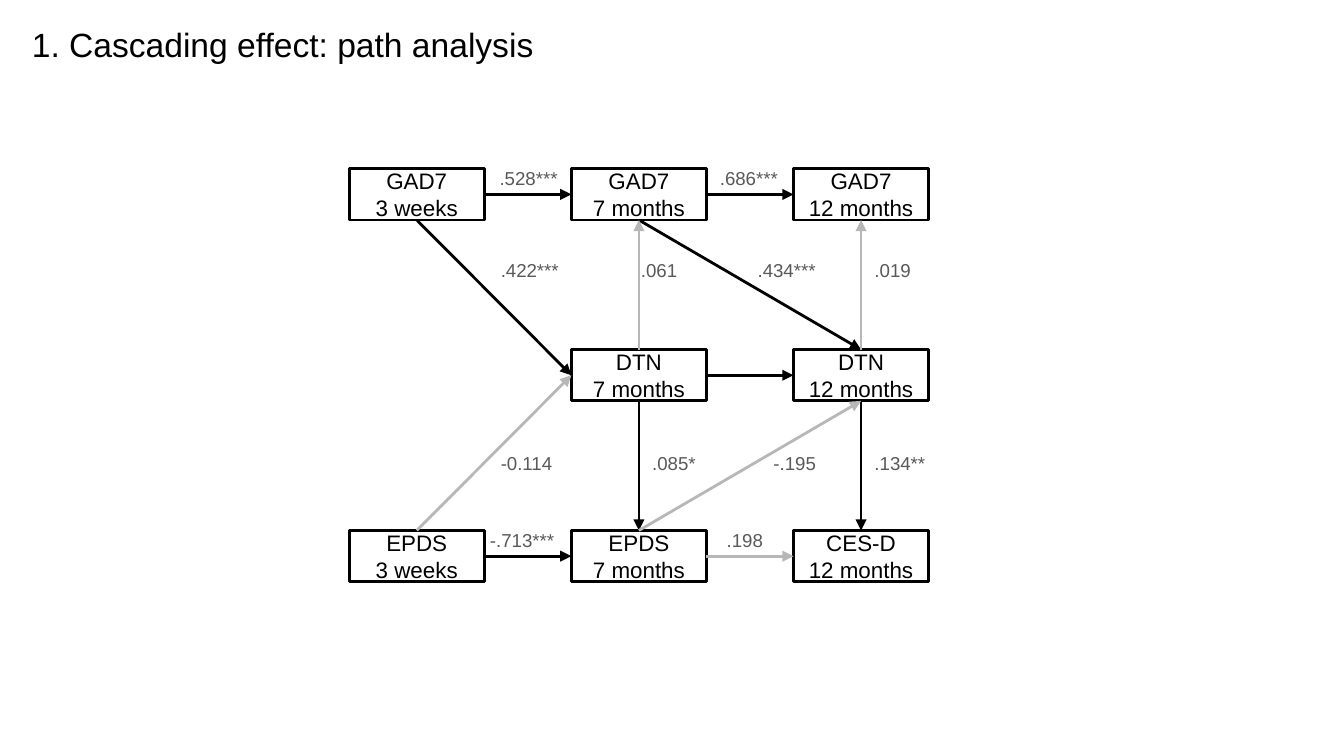
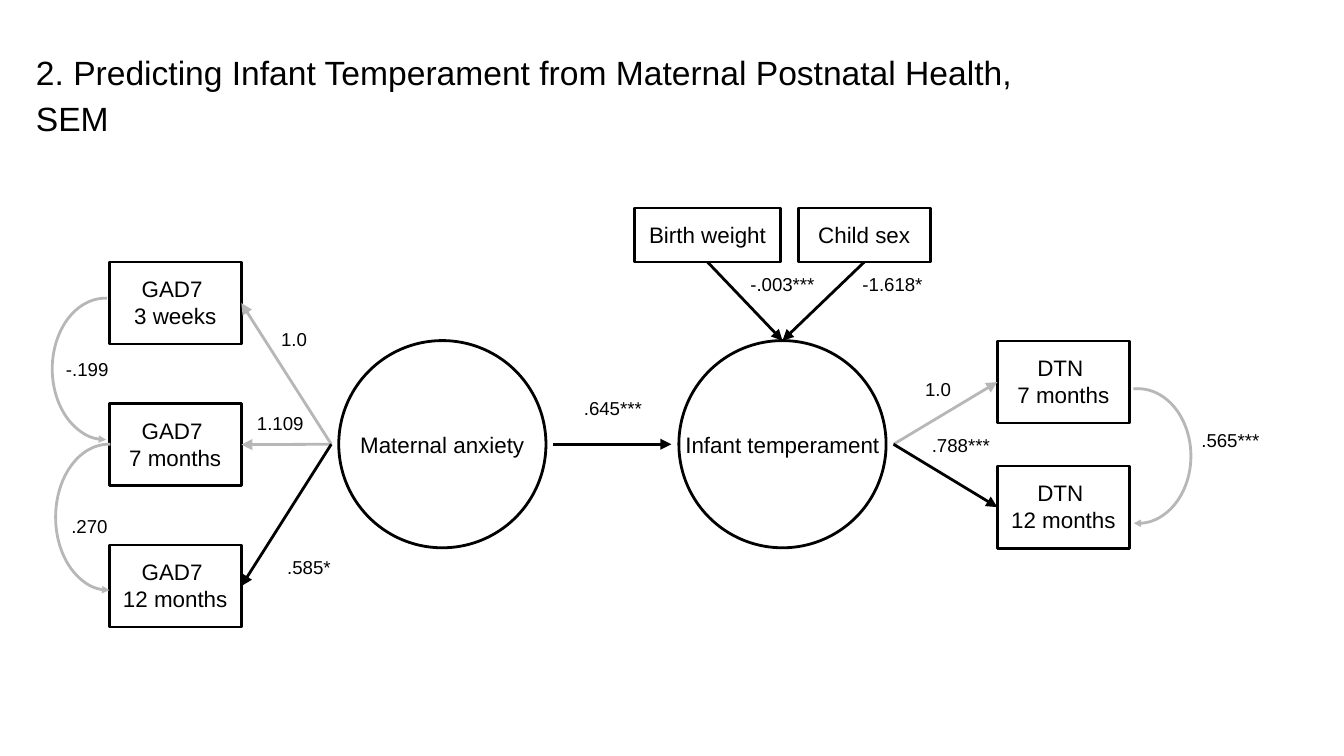
from dataclasses import dataclass

from lxml.etree import SubElement
from pptx import Presentation
from pptx.dml.color import RGBColor
from pptx.enum.shapes import MSO_CONNECTOR, MSO_SHAPE
from pptx.enum.text import MSO_ANCHOR, MSO_AUTO_SIZE, PP_ALIGN
from pptx.oxml.ns import qn
from pptx.util import Pt


@dataclass(frozen=True)
class Theme:
    font: str = "Arial"
    black: RGBColor = RGBColor(0x00, 0x00, 0x00)
    weak: RGBColor = RGBColor(0xB7, 0xB7, 0xB7)
    muted: RGBColor = RGBColor(0x59, 0x59, 0x59)
    title_size: float = 18
    box_size: float = 12
    label_size: float = 10
    line_width: float = 1.5
    inset: float = 7.2


THEME = Theme()

# Connection sites of rectangles
TOP, LEFT, BOTTOM, RIGHT = range(4)


# Text and line helpers
def write(shape, text, size=THEME.box_size, color=THEME.black, align=PP_ALIGN.CENTER,
          anchor=MSO_ANCHOR.TOP, spacing=None, grow=True):
    frame = shape.text_frame
    frame.word_wrap = True
    frame.vertical_anchor = anchor
    frame.auto_size = MSO_AUTO_SIZE.SHAPE_TO_FIT_TEXT if grow else MSO_AUTO_SIZE.NONE
    frame.margin_left = frame.margin_right = Pt(THEME.inset)
    frame.margin_top = frame.margin_bottom = Pt(THEME.inset)
    for index, line in enumerate(text.split("\n")):
        paragraph = frame.add_paragraph() if index else frame.paragraphs[0]
        paragraph.alignment = align
        if spacing:
            paragraph.line_spacing = spacing
        run = paragraph.add_run()
        run.text = line
        run.font.name = THEME.font
        run.font.size = Pt(size)
        run.font.color.rgb = color


def set_line(shape, color):
    shape.line.color.rgb = color
    shape.line.width = Pt(THEME.line_width)


def add_arrowhead(shape, end, size="med"):
    outline = shape.element.spPr.find(qn("a:ln"))
    SubElement(outline, qn(f"a:{end}"), type="triangle", w=size, len=size)


# Diagram elements
def add_text(slide, text, left, top, width, height, **text_format):
    box = slide.shapes.add_textbox(Pt(left), Pt(top), Pt(width), Pt(height))
    write(box, text, **text_format)
    return box


def add_title(slide, text, left, top):
    add_text(slide, text, left, top, 548, 36, size=THEME.title_size,
             align=PP_ALIGN.LEFT, spacing=1.15, grow=False)


def add_outline(slide, kind, left, top, width, height, color=THEME.black):
    shape = slide.shapes.add_shape(kind, Pt(left), Pt(top), Pt(width), Pt(height))
    shape.shadow.inherit = False
    shape.fill.background()
    set_line(shape, color)
    return shape


def add_box(slide, text, left, top, width, height, **text_format):
    box = add_outline(slide, MSO_SHAPE.RECTANGLE, left, top, width, height)
    write(box, text, **text_format)
    return box


def add_factor(slide, name, center_x, center_y, diameter=111):
    """Draw a latent variable; return its circle and its name."""
    circle = add_outline(slide, MSO_SHAPE.OVAL, center_x - diameter / 2,
                         center_y - diameter / 2, diameter, diameter)
    label = add_text(slide, name, center_x - 59.5, center_y - 14.4, 119, 28.8)
    return circle, label


def add_arrow(slide, source, source_site, target, target_site, color=THEME.black):
    arrow = slide.shapes.add_connector(MSO_CONNECTOR.STRAIGHT, 0, 0, 0, 0)
    arrow.begin_connect(source, source_site)
    arrow.end_connect(target, target_site)
    set_line(arrow, color)
    add_arrowhead(arrow, "tailEnd")
    SubElement(arrow.element.spPr, qn("a:effectLst"))


def add_covariance(slide, left, top, height, angles, end):
    arc = add_outline(slide, MSO_SHAPE.ARC, left, top, 57, height, THEME.weak)
    arc.adjustments[0], arc.adjustments[1] = angles
    add_arrowhead(arc, end, "sm")


def add_labels(slide, labels, **text_format):
    for text, left, top, width in labels:
        add_text(slide, text, left, top, width, 26.6, size=THEME.label_size, **text_format)


# Slide 1
def build_path_analysis(slide):
    add_title(slide, "1. Cascading effect: path analysis", 10, 2.2)

    # Measures by row, waves by column
    waves = ["3 weeks", "7 months", "12 months"]
    rows = [["GAD7"] * 3, [None, "DTN", "DTN"], ["EPDS", "EPDS", "CES-D"]]
    boxes = {}
    for row, measures in enumerate(rows):
        for column, measure in enumerate(measures):
            if measure:
                boxes[row, column] = add_box(
                    slide, f"{measure}\n{waves[column]}", 187.1 + 119 * column,
                    90.4 + 96.9 * row, 72.4, 27.5, anchor=MSO_ANCHOR.MIDDLE, grow=False)

    strong, weak = THEME.black, THEME.weak
    for source, source_site, target, target_site, color in [
        ((0, 0), RIGHT, (0, 1), LEFT, strong),
        ((0, 1), RIGHT, (0, 2), LEFT, strong),
        ((1, 1), RIGHT, (1, 2), LEFT, strong),
        ((0, 1), BOTTOM, (1, 2), TOP, strong),
        ((1, 1), TOP, (0, 1), BOTTOM, weak),
        ((0, 0), BOTTOM, (1, 1), LEFT, strong),
        ((1, 2), TOP, (0, 2), BOTTOM, weak),
        ((2, 0), TOP, (1, 1), LEFT, weak),
        ((2, 0), RIGHT, (2, 1), LEFT, strong),
        ((2, 1), RIGHT, (2, 2), LEFT, weak),
        ((1, 2), BOTTOM, (2, 2), TOP, strong),
        ((1, 1), BOTTOM, (2, 1), TOP, strong),
        ((2, 1), TOP, (1, 2), BOTTOM, weak),
    ]:
        add_arrow(slide, boxes[source], source_site, boxes[target], target_site, color)

    # Coefficients, line by line
    coefficient_rows = {
        83.4: [(".528***", 260.6, 47), (".686***", 378.6, 47)],
        132.6: [(".422***", 261.2, 47), (".061", 336.3, 47),
                (".434***", 398.8, 47), (".019", 461.4, 51)],
        236: [("-0.114", 261.2, 47), (".085*", 342.3, 47),
              ("-.195", 407.3, 47), (".134**", 461.4, 51)],
        277.2: [("-.713***", 255.4, 51), (".198", 382.2, 51)],
    }
    add_labels(slide, [(text, left, top, width)
                       for top, row in coefficient_rows.items()
                       for text, left, width in row],
               color=THEME.muted, align=PP_ALIGN.LEFT)


# Slide 2
def build_structural_model(slide):
    add_title(slide, "2. Predicting Infant Temperament from Maternal Postnatal Health, SEM",
              12.2, 17.3)

    # Latent variables
    axis = 238
    _, anxiety = add_factor(slide, "Maternal anxiety", 237, axis)
    temperament_circle, temperament = add_factor(slide, "Infant temperament", 419.2, axis)
    add_arrow(slide, anxiety, RIGHT, temperament, LEFT)

    # Covariates
    for name, left, width in [("Birth weight", 339.8, 78.5), ("Child sex", 427.6, 70.8)]:
        covariate = add_box(slide, name, left, 111.4, width, 29)
        add_arrow(slide, covariate, BOTTOM, temperament_circle, TOP)

    # Indicators of each latent variable
    weak, strong = THEME.weak, THEME.black
    for factor, factor_site, measure, left, first_top, pitch, indicators in [
        (anxiety, LEFT, "GAD7", 58.5, 140.4, 75.8,
         [("3 weeks", weak), ("7 months", weak), ("12 months", strong)]),
        (temperament, RIGHT, "DTN", 534.3, 182.7, 67,
         [("7 months", weak), ("12 months", strong)]),
    ]:
        box_site = RIGHT if factor_site == LEFT else LEFT
        for index, (wave, color) in enumerate(indicators):
            box = add_box(slide, f"{measure} \n{wave}", left, first_top + pitch * index, 70.8, 44)
            add_arrow(slide, factor, factor_site, box, box_site, color)

    # Covariances
    left_side, right_side = (53.68, 162.76), (159.8, 56.06)
    add_covariance(slide, 28, 159.8, 75.8, left_side, "headEnd")
    add_covariance(slide, 29.8, 238, 78.2, left_side, "headEnd")
    add_covariance(slide, 581, 208.2, 72.2, right_side, "tailEnd")

    add_labels(slide, [
        (".645***", 299.8, 206.6, 57),
        ("-.003***", 390.6, 140.4, 57),
        ("-1.618*", 446.6, 140.4, 63),
        ("1.0", 471, 196.4, 63),
        (".788***", 483.2, 226.6, 63),
        (".585*", 137, 291.7, 57),
        ("1.109", 121.6, 214.6, 57),
        ("1.0", 129, 169.7, 57),
        ("-.199", 18.2, 185.8, 57),
        (".565***", 630.6, 223.5, 57),
        (".270", 19.4, 269.8, 57),
    ])


def main():
    presentation = Presentation()
    presentation.slide_width, presentation.slide_height = Pt(720), Pt(405)
    blank_layout = presentation.slide_layouts[6]
    for build in (build_path_analysis, build_structural_model):
        build(presentation.slides.add_slide(blank_layout))
    presentation.save("out.pptx")


if __name__ == "__main__":
    main()
